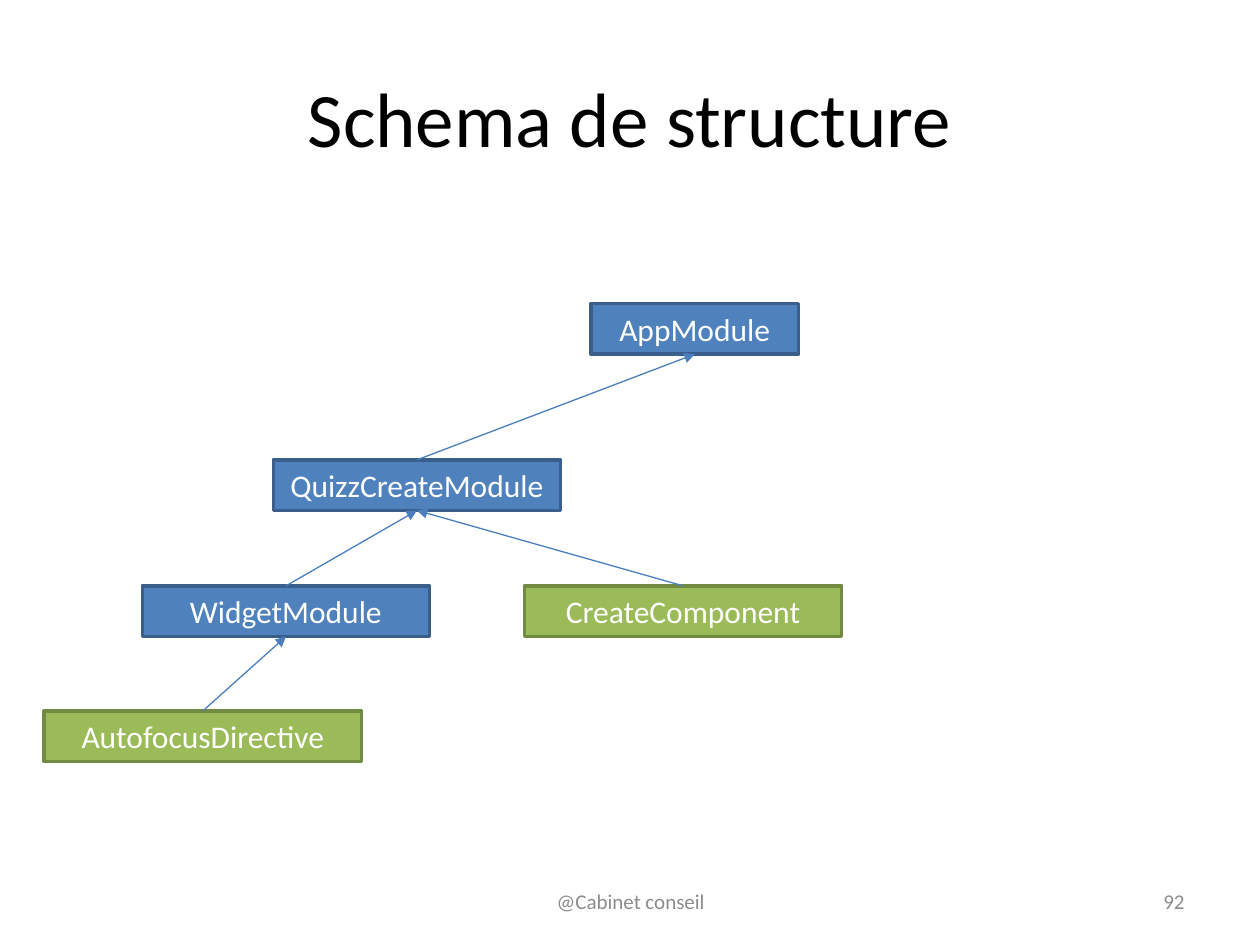
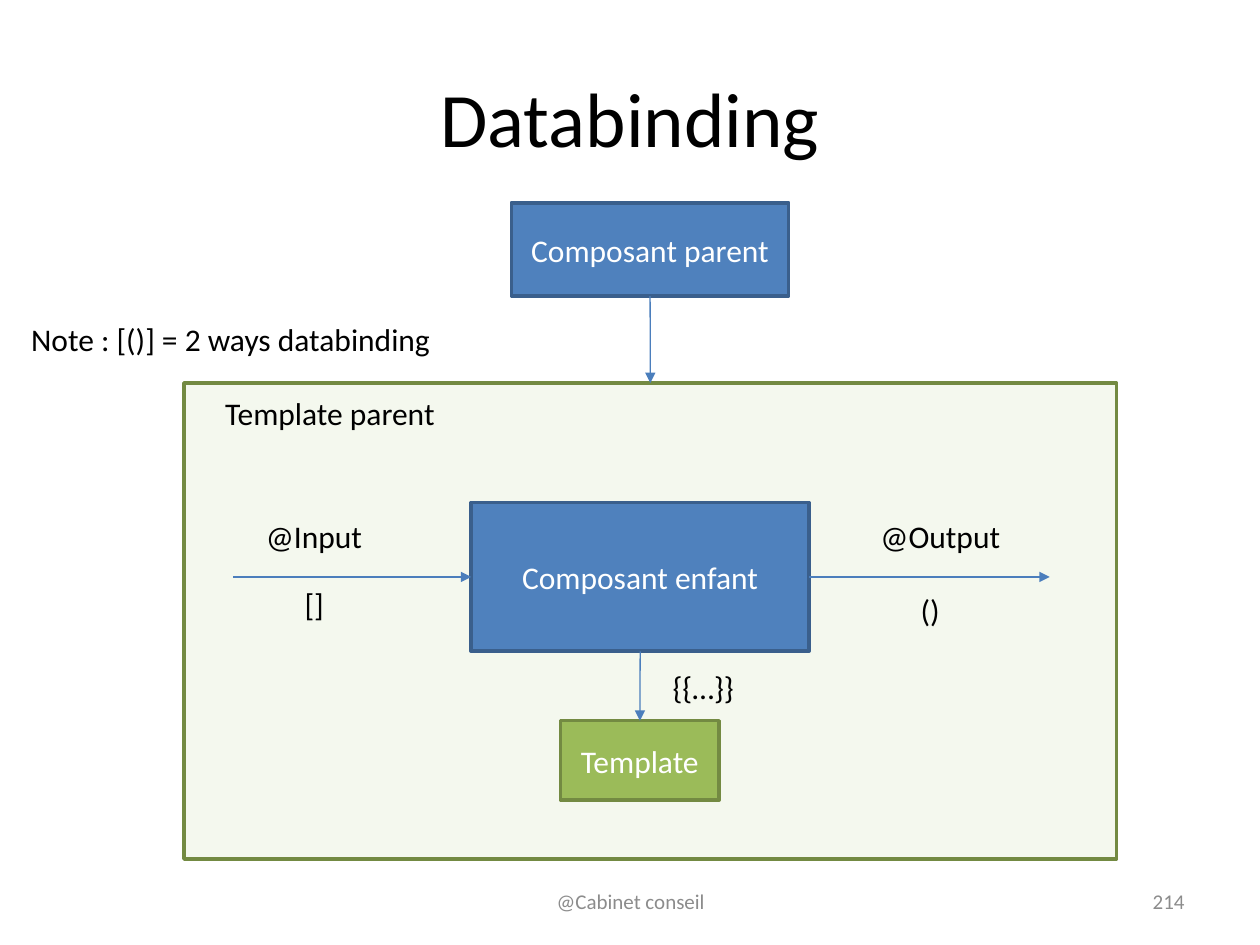
from dataclasses import dataclass
from typing import Optional

from lxml import etree
from pptx import Presentation
from pptx import util as u
from pptx.dml.color import RGBColor
from pptx.enum import shapes, text
from pptx.oxml import ns

COLOURS = {
    "blue": "4F81BD", "blue_edge": "3A5F8C",
    "green": "9BBB59", "green_edge": "738A42",
    "arrow": "4B7EBC", "black": "000000", "white": "FFFFFF", "grey": "8C8C8C",
}
FONT = "Calibri"
FOOTER = "@Cabinet conseil"
ROW_HEIGHT = 1.02
TOP, LEFT, BOTTOM, RIGHT = range(4)


@dataclass(frozen=True)
class Node:
    label: str
    left: float
    top: float
    width: float
    height: float = ROW_HEIGHT
    colour: str = "blue"
    opacity: Optional[int] = None


@dataclass(frozen=True)
class Label:
    words: str
    left: float
    top: float
    width: float
    height: float = ROW_HEIGHT
    size: int = 18
    colour: str = "black"
    align: text.PP_ALIGN = text.PP_ALIGN.LEFT
    fixed: bool = False


@dataclass(frozen=True)
class Link:
    source: str
    source_side: int
    target: str
    target_side: int


MODULES = [
    Node("AppModule", 11.91, 6.12, 4.19),
    Node("QuizzCreateModule", 5.51, 9.27, 5.79),
    Node("WidgetModule", 2.87, 11.81, 5.79),
    Node("CreateComponent", 10.57, 11.81, 6.4, colour="green"),
    Node("AutofocusDirective", 0.89, 14.33, 6.4, colour="green"),
]
MODULE_PARENTS = [
    ("QuizzCreateModule", "AppModule"),
    ("WidgetModule", "QuizzCreateModule"),
    ("CreateComponent", "QuizzCreateModule"),
    ("AutofocusDirective", "WidgetModule"),
]

FRAME = Node("", 3.71, 7.72, 18.8, 9.6, "green", 10)
CHILD = Node("Composant enfant", 9.5, 10.13, 6.81, 3)
BINDING_NODES = [
    FRAME,
    CHILD,
    Node("Template", 11.3, 14.53, 3.2, 1.6, "green"),
    Node("Composant parent", 10.31, 4.09, 5.59, 1.88),
]
BINDING_LINKS = [
    Link("Composant parent", BOTTOM, FRAME.label, TOP),
    Link("Composant enfant", BOTTOM, "Template", TOP),
]
BINDING_LABELS = [
    Label("Note : [()] = 2 ways databinding", 0.38, 6.32, 8.66),
    Label("Template parent", 4.29, 7.82, 4.8),
    Label("@Input", 5.11, 10.29, 2.49),
    Label("[]", 5.89, 11.66, 0.91),
    Label("@Output", 17.5, 10.29, 2.95),
    Label("()", 18.31, 11.79, 0.91),
    Label("{{…}}", 13.31, 13.34, 1.75),
]
INPUT_START, OUTPUT_END = 4.7, 21.16


def rgb(name: str) -> RGBColor:
    return RGBColor.from_string(COLOURS[name])


def write(box, words: str, size: int, colour: str, align: text.PP_ALIGN) -> None:
    para = box.text_frame.paragraphs[0]
    para.alignment = align
    span = para.add_run()
    span.text = words
    span.font.name = FONT
    span.font.size = u.Pt(size)
    span.font.color.rgb = rgb(colour)


def add_label(page, label: Label) -> None:
    box = page.shapes.add_textbox(
        *map(u.Cm, (label.left, label.top, label.width, label.height)))
    frame = box.text_frame
    frame.word_wrap = label.fixed
    if label.fixed:
        frame.vertical_anchor = text.MSO_ANCHOR.MIDDLE
    else:
        frame.auto_size = text.MSO_AUTO_SIZE.SHAPE_TO_FIT_TEXT
    write(box, label.words, label.size, label.colour, label.align)


def add_node(page, node: Node):
    box = page.shapes.add_shape(
        shapes.MSO_SHAPE.RECTANGLE,
        *map(u.Cm, (node.left, node.top, node.width, node.height)))
    box.shadow.inherit = False
    box.fill.solid()
    box.fill.fore_color.rgb = rgb(node.colour)
    box.line.color.rgb = rgb(node.colour + "_edge")
    box.line.width = u.Pt(2)
    if node.opacity is not None:
        fill = box.fill._xPr.find(ns.qn("a:solidFill"))
        etree.SubElement(fill[0], ns.qn("a:alpha"), val=str(node.opacity * 1000))
    if node.label:
        box.text_frame.word_wrap = True
        box.text_frame.vertical_anchor = text.MSO_ANCHOR.MIDDLE
        write(box, node.label, 18, "white", text.PP_ALIGN.CENTER)
    return box


def add_arrow(page, start_x: float = 0, end_x: float = 0, y: float = 0):
    arrow = page.shapes.add_connector(
        shapes.MSO_CONNECTOR.STRAIGHT, u.Cm(start_x), u.Cm(y), u.Cm(end_x), u.Cm(y))
    arrow.line.color.rgb = rgb("arrow")
    arrow.line.width = u.Pt(0.75)
    properties = arrow._element.spPr
    etree.SubElement(properties.find(ns.qn("a:ln")), ns.qn("a:tailEnd"), type="triangle")
    etree.SubElement(properties, ns.qn("a:effectLst"))
    return arrow


def add_diagram(page, nodes: list[Node], links: list[Link]) -> dict:
    boxes = {node.label: add_node(page, node) for node in nodes}
    for link in links:
        arrow = add_arrow(page)
        arrow.begin_connect(boxes[link.source], link.source_side)
        arrow.end_connect(boxes[link.target], link.target_side)
    return boxes


def add_page(deck, title: str, number: int):
    page = deck.slides.add_slide(deck.slide_layouts[6])
    center, right = text.PP_ALIGN.CENTER, text.PP_ALIGN.RIGHT
    for label in (
        Label(title, 1.27, 0.76, 22.86, 3.18, 44, "black", center, True),
        Label(FOOTER, 8.69, 17.65, 8.05, ROW_HEIGHT, 12, "grey", center, True),
        Label(str(number), 18.21, 17.65, 5.92, ROW_HEIGHT, 12, "grey", right, True),
    ):
        add_label(page, label)
    return page


def build_structure(deck) -> None:
    page = add_page(deck, "Schema de structure", 92)
    links = [Link(child, TOP, parent, BOTTOM) for child, parent in MODULE_PARENTS]
    add_diagram(page, MODULES, links)


def build_databinding(deck) -> None:
    page = add_page(deck, "Databinding", 214)
    child = add_diagram(page, BINDING_NODES, BINDING_LINKS)[CHILD.label]
    middle = CHILD.top + CHILD.height / 2
    add_arrow(page, INPUT_START, CHILD.left, middle).end_connect(child, LEFT)
    add_arrow(page, CHILD.left + CHILD.width, OUTPUT_END, middle).begin_connect(child, RIGHT)
    for label in BINDING_LABELS:
        add_label(page, label)


def main() -> None:
    deck = Presentation()
    deck.slide_width, deck.slide_height = u.Cm(25.4), u.Cm(19.05)
    build_structure(deck)
    build_databinding(deck)
    deck.save("out.pptx")


if __name__ == "__main__":
    main()
